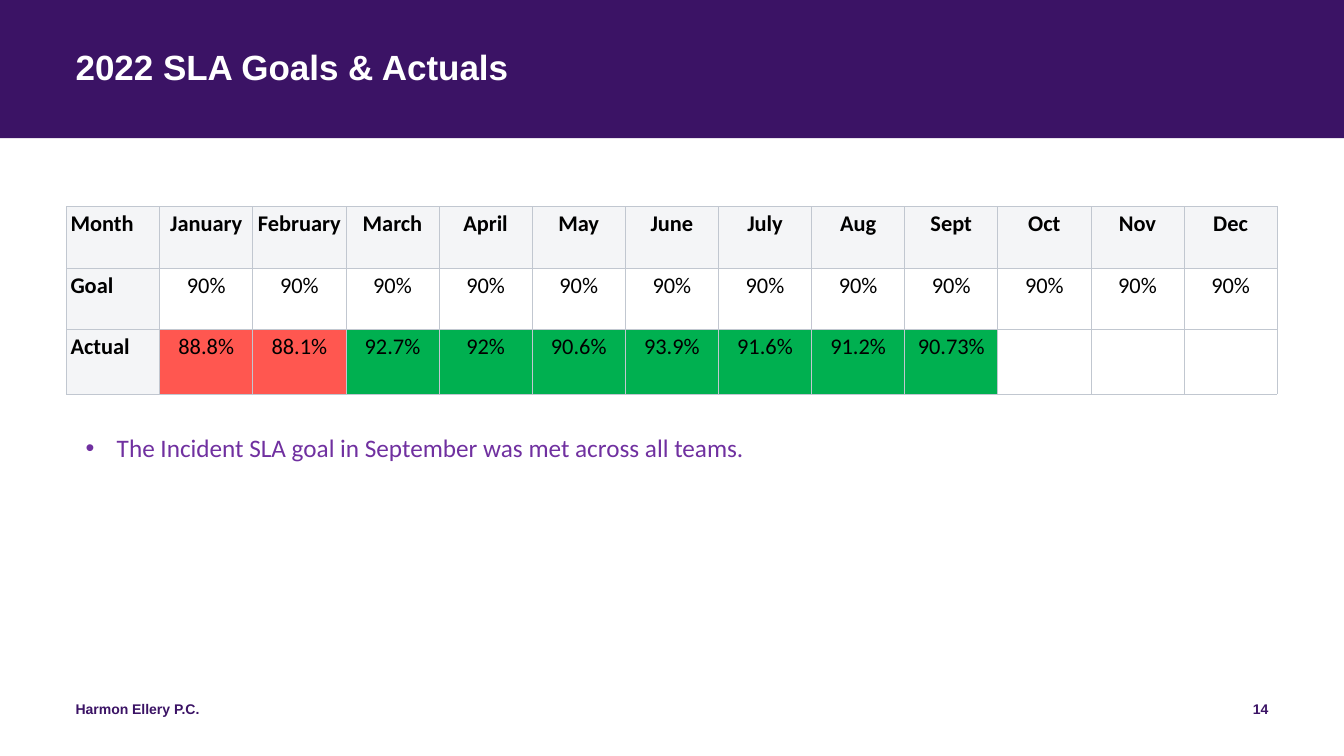
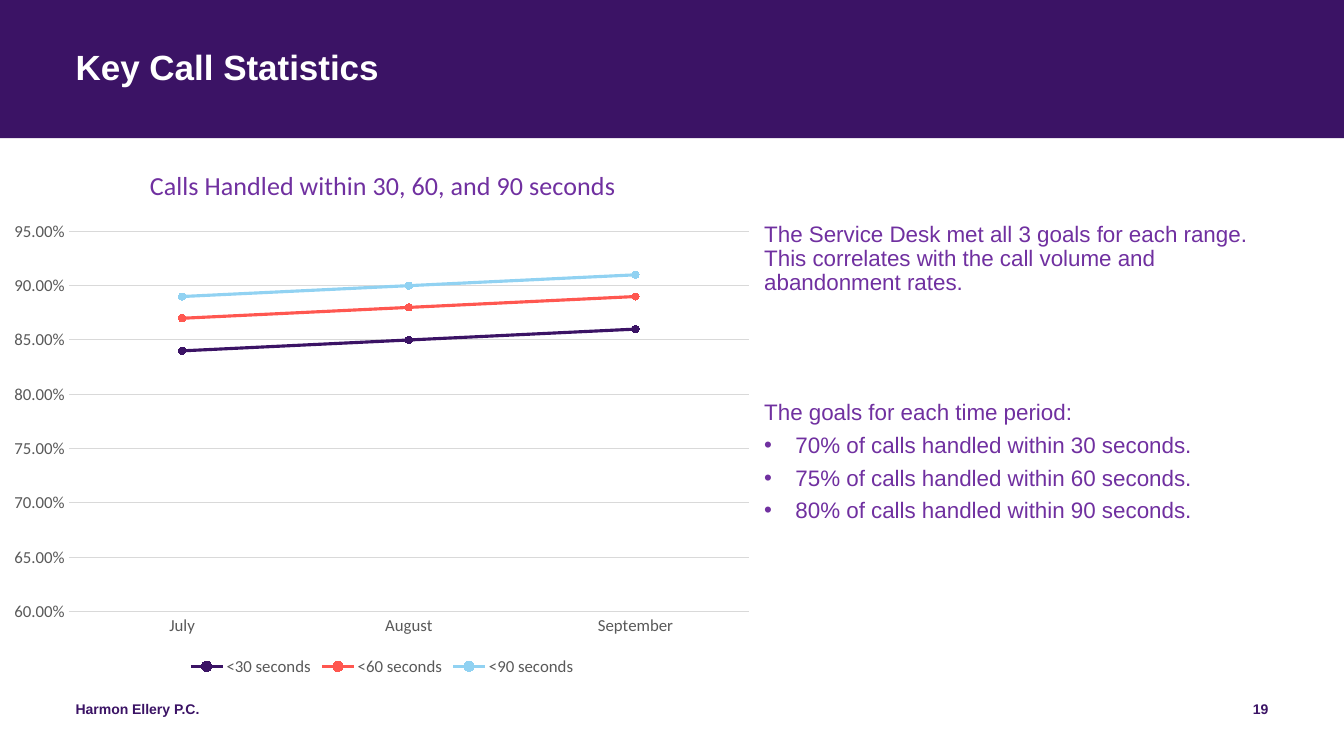
from lxml.etree import SubElement
from pptx import Presentation
from pptx.chart.data import CategoryChartData
from pptx.dml.color import RGBColor
from pptx.enum.chart import XL_CHART_TYPE, XL_LEGEND_POSITION, XL_MARKER_STYLE, XL_TICK_MARK
from pptx.enum.shapes import MSO_SHAPE
from pptx.enum.text import MSO_ANCHOR, MSO_AUTO_SIZE, PP_ALIGN
from pptx.oxml import parse_xml
from pptx.oxml.ns import nsdecls, qn
from pptx.util import Inches, Pt

PURPLE = RGBColor(0x3B, 0x13, 0x65)
VIOLET = RGBColor(0x70, 0x30, 0xA0)
RED = RGBColor(0xFF, 0x57, 0x50)
GREEN = RGBColor(0x00, 0xB0, 0x50)
SKY = RGBColor(0x91, 0xD2, 0xF2)
WHITE = RGBColor(0xFF, 0xFF, 0xFF)
BLACK = RGBColor(0x00, 0x00, 0x00)
HEADER_GREY = RGBColor(0xF4, 0xF5, 0xF7)
LABEL_GREY = RGBColor(0x59, 0x59, 0x59)
GRID_GREY = RGBColor(0xD9, 0xD9, 0xD9)
BORDER_GREY = RGBColor(0xC1, 0xC7, 0xD0)

HEADING_FONT = "Arial"
BODY_FONT = "Calibri"
COMPANY = "Harmon Ellery P.C."
GOAL = 90
ACTUALS = ["88.8%", "88.1%", "92.7%", "92%", "90.6%", "93.9%", "91.6%", "91.2%", "90.73%"]
MONTHS = ["January", "February", "March", "April", "May", "June",
          "July", "Aug", "Sept", "Oct", "Nov", "Dec"]


def style_font(font, size, color, name=BODY_FONT, bold=False):
    font.name, font.size, font.bold = name, Pt(size), bold
    font.color.rgb = color


def write(frame, text, size=16, color=BLACK, font=BODY_FONT, bold=False,
          align=PP_ALIGN.LEFT, spacing=None, before=0, after=0, bullet=False):
    paragraph = frame.paragraphs[0]
    if paragraph.runs:
        paragraph = frame.add_paragraph()
    paragraph.alignment = align
    paragraph.line_spacing = spacing
    paragraph.space_before, paragraph.space_after = Pt(before), Pt(after)
    run = paragraph.add_run()
    run.text = text
    style_font(run.font, size, color, font, bold)
    if bullet:
        properties = paragraph._p.get_or_add_pPr()
        properties.set("marL", str(Inches(0.31)))
        properties.set("indent", str(-Inches(0.31)))
        SubElement(properties, qn("a:buFont"), typeface="Arial")
        SubElement(properties, qn("a:buChar"), char="•")


def set_margins(frame, margin=0):
    frame.margin_left = frame.margin_right = Inches(margin)
    frame.margin_top = frame.margin_bottom = Inches(margin)


def set_borders(cell):
    properties = cell._tc.get_or_add_tcPr()
    for side in ("lnL", "lnR", "lnT", "lnB"):
        properties.append(parse_xml(
            f'<a:{side} {nsdecls("a")} w="{Pt(0.5)}"><a:solidFill>'
            f'<a:srgbClr val="{BORDER_GREY}"/></a:solidFill></a:{side}>'))


def set_layout(element, **places):
    layout = element.find(qn("c:layout"))
    if layout is None:
        layout = SubElement(element, qn("c:layout"))
        element.insert(0, layout)
    for child in list(layout):
        layout.remove(child)
    manual = SubElement(layout, qn("c:manualLayout"))
    if "w" in places:
        SubElement(manual, qn("c:layoutTarget"), val="inner")
    for mode in ("xMode", "yMode"):
        SubElement(manual, qn(f"c:{mode}"), val="edge")
    for key, value in places.items():
        SubElement(manual, qn(f"c:{key}"), val=str(value))


class Deck:
    def __init__(self):
        self.presentation = Presentation()
        self.presentation.slide_width = Inches(13.33)
        self.presentation.slide_height = Inches(7.5)
        self.slide = None

    def new_slide(self, heading, number):
        self.slide = self.presentation.slides.add_slide(self.presentation.slide_layouts[5])
        self.band()
        self.title(heading)
        footer = dict(size=10, color=PURPLE, font=HEADING_FONT, bold=True)
        write(self.text_box(0.75, 6.95, 4.5, 0.4), COMPANY, **footer)
        write(self.text_box(9.58, 6.95, 3, 0.4), str(number), align=PP_ALIGN.RIGHT, **footer)

    def band(self):
        band = self.slide.shapes.add_shape(
            MSO_SHAPE.RECTANGLE, 0, 0, self.presentation.slide_width, Inches(1.37))
        band.shadow.inherit = False
        band.fill.solid()
        band.fill.fore_color.rgb = PURPLE
        band.line.fill.background()
        self.slide.shapes._spTree.insert(2, band._element)

    def title(self, heading):
        title = self.slide.shapes.title
        title.left, title.top = Inches(0.75), Inches(0.5)
        title.width, title.height = Inches(11.83), Inches(0.81)
        frame = title.text_frame
        set_margins(frame)
        frame.auto_size = MSO_AUTO_SIZE.NONE
        frame.vertical_anchor = MSO_ANCHOR.TOP
        write(frame, heading, size=25, color=WHITE, font=HEADING_FONT, bold=True, spacing=0.9)

    def text_box(self, left, top, width, height, margin=0):
        box = self.slide.shapes.add_textbox(
            Inches(left), Inches(top), Inches(width), Inches(height))
        box.text_frame.word_wrap = True
        set_margins(box.text_frame, margin)
        return box.text_frame

    def table(self, rows, fill_for, left, top, width, heights):
        table = self.slide.shapes.add_table(
            len(rows), len(rows[0]), Inches(left), Inches(top),
            Inches(width), Inches(sum(heights))).table
        table.first_row = table.horz_banding = False
        for r, (row, height) in enumerate(zip(rows, heights)):
            table.rows[r].height = Inches(height)
            for c, text in enumerate(row):
                cell = table.cell(r, c)
                set_margins(cell, 0.04)
                set_borders(cell)
                fill = fill_for(r, c, text)
                if fill is None:
                    cell.fill.background()
                else:
                    cell.fill.solid()
                    cell.fill.fore_color.rgb = fill
                if text:
                    write(cell.text_frame, text, bold=r == 0 or c == 0,
                          align=PP_ALIGN.CENTER if c else PP_ALIGN.LEFT)

    def line_chart(self, heading, categories, ranges, left, top, width, height):
        data = CategoryChartData(number_format="0.00%")
        data.categories = categories
        for label, values, _ in ranges:
            data.add_series(label, values)
        chart = self.slide.shapes.add_chart(
            XL_CHART_TYPE.LINE_MARKERS, Inches(left), Inches(top),
            Inches(width), Inches(height), data).chart
        style_font(chart.font, 10, BLACK)
        chart.has_title = True
        write(chart.chart_title.text_frame, heading, size=18.6, color=VIOLET,
              align=PP_ALIGN.CENTER)
        set_layout(chart.chart_title._element, x=0.19, y=0.02)
        set_layout(chart._chartSpace.chart.plotArea, x=0.09, y=0.15, w=0.89, h=0.72)
        chart.has_legend = True
        chart.legend.position = XL_LEGEND_POSITION.BOTTOM
        chart.legend.include_in_layout = False
        style_font(chart.legend.font, 12, LABEL_GREY)
        self.chart_axes(chart)
        plot = chart.plots[0]
        plot.vary_by_categories = False
        for series, (_, _, color) in zip(plot.series, ranges):
            series.smooth = False
            series.format.line.color.rgb = color
            series.format.line.width = Pt(2.25)
            series.marker.style = XL_MARKER_STYLE.CIRCLE
            series.marker.size = 5
            series.marker.format.fill.solid()
            series.marker.format.fill.fore_color.rgb = color
            series.marker.format.line.color.rgb = color

    def chart_axes(self, chart):
        months, rates = chart.category_axis, chart.value_axis
        for axis in (months, rates):
            axis.major_tick_mark = axis.minor_tick_mark = XL_TICK_MARK.NONE
            style_font(axis.tick_labels.font, 12, LABEL_GREY)
        rates.minimum_scale, rates.maximum_scale, rates.major_unit = 0.6, 0.95, 0.05
        rates.tick_labels.number_format = "0.00%"
        rates.tick_labels.number_format_is_linked = False
        rates.format.line.fill.background()
        rates.has_major_gridlines = True
        for line in (months.format.line, rates.major_gridlines.format.line):
            line.color.rgb = GRID_GREY
            line.width = Pt(0.75)


def sla_fill(row, column, text):
    if row == 0 or column == 0:
        return HEADER_GREY
    if row == 1 or not text:
        return None
    return GREEN if float(text.rstrip("%")) >= GOAL else RED


def add_sla_slide(deck):
    deck.new_slide("2022 SLA Goals & Actuals", 14)
    pending = [""] * (len(MONTHS) - len(ACTUALS))
    rows = [["Month", *MONTHS],
            ["Goal"] + [f"{GOAL}%"] * len(MONTHS),
            ["Actual", *ACTUALS, *pending]]
    deck.table(rows, sla_fill, 0.66, 2.05, 12.01, (0.61, 0.61, 0.64))
    remark = deck.text_box(0.75, 4.24, 11.83, 0.4, margin=0.05)
    remark.margin_left = remark.margin_right = Inches(0.1)
    write(remark, "The Incident SLA goal in September was met across all teams.",
          size=18, color=VIOLET, bullet=True)


def add_calls_slide(deck):
    deck.new_slide("Key Call Statistics", 19)
    ranges = [("<30 seconds", (0.84, 0.85, 0.86), PURPLE),
              ("<60 seconds", (0.87, 0.88, 0.89), RED),
              ("<90 seconds", (0.89, 0.9, 0.91), SKY)]
    deck.line_chart("Calls Handled within 30, 60, and 90 seconds",
                    ["July", "August", "September"], ranges, 0, 1.51, 7.58, 5.24)
    summary = deck.text_box(7.58, 2.21, 5, 4.54)
    body = dict(color=VIOLET, font=HEADING_FONT, spacing=0.9, after=6)
    write(summary, "The Service Desk met all 3 goals for each range. This correlates "
                   "with the call volume and abandonment rates.", **body)
    write(summary, "The goals for each time period:", before=70, **body)
    for share, seconds in ((70, 30), (75, 60), (80, 90)):
        write(summary, f"{share}% of calls handled within {seconds} seconds.",
              bullet=True, **body)


def main():
    deck = Deck()
    add_sla_slide(deck)
    add_calls_slide(deck)
    deck.presentation.save("out.pptx")


if __name__ == "__main__":
    main()
